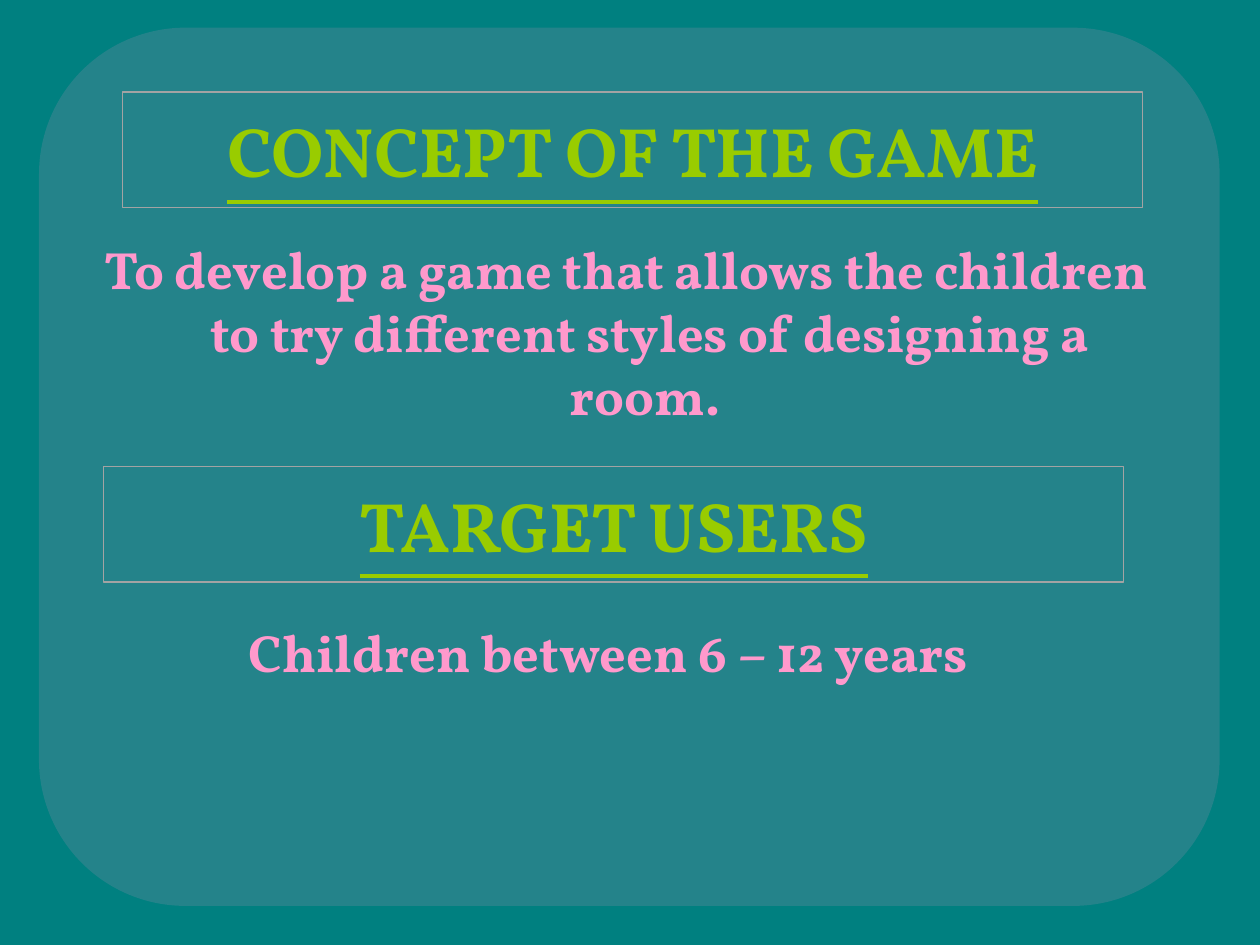
from pptx import Presentation
from pptx.dml.color import RGBColor
from pptx.enum.shapes import MSO_SHAPE
from pptx.enum.text import MSO_ANCHOR, PP_ALIGN
from pptx.oxml.ns import qn
from pptx.util import Inches, Pt
from lxml.etree import SubElement

PINK = "FF99CC"
LIME = "99CC00"


def paint(color, value):
    color.rgb = RGBColor.from_string(value)


def add_panel(slide):
    panel = slide.shapes.add_shape(
        MSO_SHAPE.ROUNDED_RECTANGLE,
        Inches(0.31), Inches(0.22), Inches(9.37), Inches(6.97))
    panel.shadow.inherit = False
    panel.line.fill.background()
    panel.fill.solid()
    paint(panel.fill.fore_color, PINK)
    tint = panel.fill._xPr.find(qn("a:solidFill"))[0]
    SubElement(tint, qn("a:alpha"), val="14000")


def write(shape, text, size, color):
    frame = shape.text_frame
    frame.word_wrap = True
    para = frame.paragraphs[0]
    para.text = text
    para.alignment = PP_ALIGN.CENTER
    font = para.font
    font.name = "Vollkorn"
    font.size = Pt(size)
    font.bold = True
    paint(font.color, color)
    return para


def add_title(slide, text, left, top):
    box = slide.shapes.add_shape(
        MSO_SHAPE.RECTANGLE,
        Inches(left), Inches(top), Inches(8.1), Inches(0.92))
    box.shadow.inherit = False
    box.fill.background()
    box.line.width = Pt(0.75)
    paint(box.line.color, "A3A3A3")
    box.text_frame.vertical_anchor = MSO_ANCHOR.MIDDLE
    write(box, text, 40, LIME).font.underline = True


def add_body(slide, text, left, top):
    box = slide.shapes.add_textbox(
        Inches(left), Inches(top), Inches(8.6), Inches(1.75))
    para = write(box, text, 30, PINK)
    para.space_before = Pt(6)
    props = para._p.get_or_add_pPr()
    props.set("marL", str(Inches(0.38)))
    props.set("indent", str(Inches(-0.38)))


def main():
    deck = Presentation()
    deck.slide_width = Inches(10)
    deck.slide_height = Inches(7.5)
    slide = deck.slides.add_slide(deck.slide_layouts[6])
    slide.background.fill.solid()
    paint(slide.background.fill.fore_color, "008080")
    add_panel(slide)
    add_title(slide, "CONCEPT OF THE GAME", 0.97, 0.73)
    add_body(slide, "To develop a game that allows the children to try "
             "different styles of designing a room. ", 0.67, 1.83)
    add_title(slide, "TARGET USERS", 0.82, 3.7)
    add_body(slide, "Children between 6 – 12 years ", 0.57, 4.87)
    deck.save("out.pptx")


if __name__ == "__main__":
    main()
